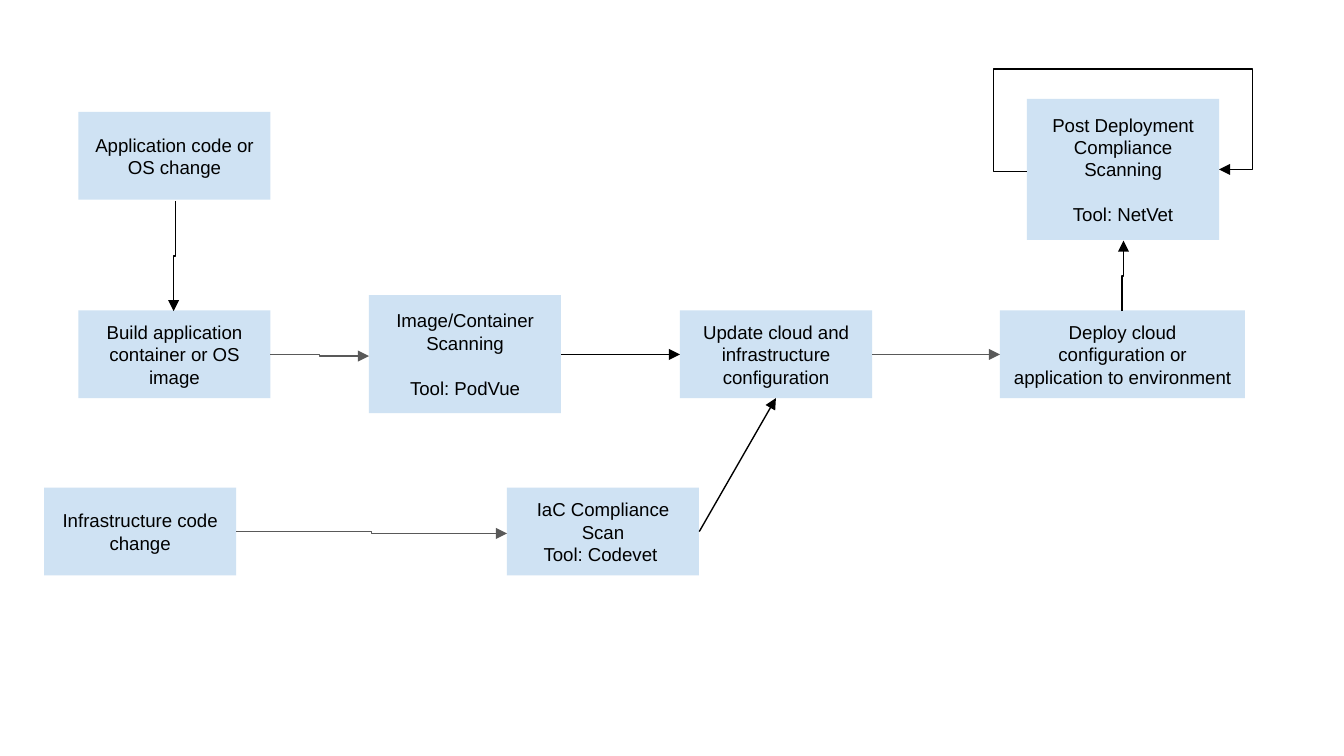
from lxml.etree import SubElement
from pptx import Presentation
from pptx.dml.color import RGBColor
from pptx.enum.shapes import MSO_CONNECTOR as Connector, MSO_SHAPE as Shape
from pptx.enum.text import MSO_ANCHOR as Anchor, PP_ALIGN as Align
from pptx.oxml.ns import qn
from pptx.util import Pt

PALE_BLUE = RGBColor(0xCF, 0xE2, 0xF3)
BLACK = RGBColor(0, 0, 0)
GRAY = RGBColor(0x59, 0x59, 0x59)

BOX_WIDTH, BOX_HEIGHT = 102.9, 47
TOOL_GAP = 12
ROW_Y = 189.9

deck = Presentation()
deck.slide_width, deck.slide_height = Pt(720), Pt(405)
page = deck.slides.add_slide(deck.slide_layouts[6])


def add_step(left, top, lines, width=BOX_WIDTH, height=BOX_HEIGHT, gap=0):
    """Add a process box; gap is the space above its second line."""
    box = page.shapes.add_shape(Shape.RECTANGLE, Pt(left), Pt(top), Pt(width), Pt(height))
    box.shadow.inherit = False
    box.fill.solid()
    box.fill.fore_color.rgb = PALE_BLUE
    box.line.fill.background()
    frame = box.text_frame
    frame.word_wrap = True
    frame.vertical_anchor = Anchor.MIDDLE
    frame.margin_left = frame.margin_right = Pt(7.2)
    frame.margin_top = frame.margin_bottom = Pt(7.2)
    for index, line in enumerate(lines):
        para = frame.add_paragraph() if index else frame.paragraphs[0]
        para.text = line
        para.alignment = Align.CENTER
        para.space_before = Pt(gap if index else 0)
        para.font.name, para.font.size = "Arial", Pt(10)
        para.font.color.rgb = BLACK


def add_arrow(kind, start, end, color=BLACK, turn=0):
    """Add an arrow; turn is the clockwise rotation of a vertical elbow."""
    (x1, y1), (x2, y2) = start, end
    if turn:
        middle_x, middle_y = (x1 + x2) / 2, (y1 + y2) / 2
        half_length, half_offset = abs(y2 - y1) / 2, abs(x2 - x1) / 2
        x1, x2 = middle_x - half_length, middle_x + half_length
        y1, y2 = middle_y - half_offset, middle_y + half_offset
    arrow = page.shapes.add_connector(kind, Pt(x1), Pt(y1), Pt(x2), Pt(y2))
    arrow.line.color.rgb = color
    arrow.line.width = Pt(0.75)
    properties = arrow._element.spPr
    if turn:
        properties.find(qn("a:xfrm")).set("rot", str(turn * 60000))
    SubElement(properties.find(qn("a:ln")), qn("a:tailEnd"), type="triangle")
    SubElement(properties, qn("a:effectLst"))
    return arrow


steps = [
    (42, 166.3, "Build application container or OS image"),
    (364.3, 166.3, "Update cloud and infrastructure configuration"),
    (42, 60, "Application code or OS change"),
    (23.6, 261.3, "Infrastructure code change"),
]
for left, top, text in steps:
    add_step(left, top, [text])
add_step(535.7, 166.3, ["Deploy cloud configuration or application to environment"], width=131.3)
add_step(197.7, 158.1, ["Image/Container Scanning", "Tool: PodVue"], height=63.3, gap=TOOL_GAP)
add_step(271.6, 261.3, ["IaC Compliance Scan", "Tool: Codevet "])
add_step(550.2, 53, ["Post Deployment Compliance Scanning", "Tool: NetVet"], height=75.5, gap=TOOL_GAP)

arrows = [
    (Connector.ELBOW, (126.5, 284.8), (271.6, 285.8), GRAY, 0),
    (Connector.ELBOW, (144.9, ROW_Y), (197.7, 190.8), GRAY, 0),
    (Connector.ELBOW, (467.2, ROW_Y), (535.7, ROW_Y), GRAY, 0),
    (Connector.STRAIGHT, (300.6, ROW_Y), (364.3, ROW_Y), BLACK, 0),
    (Connector.STRAIGHT, (374.6, 284.8), (415.7, 213.3), BLACK, 0),
    (Connector.ELBOW, (601, 166.7), (601.9, 128.9), BLACK, 270),
    (Connector.ELBOW, (93.9, 107.6), (93, 166.7), BLACK, 90),
]
for arrow_settings in arrows:
    add_arrow(*arrow_settings)

# The rescan loop leaves on the left, passes over the box and returns on the right.
loop = add_arrow(Connector.ELBOW, (550.2, 91.8), (653.1, 90.8))
geometry = loop._element.spPr.find(qn("a:prstGeom"))
geometry.set("prst", "bentConnector5")
guides = geometry.find(qn("a:avLst"))
if guides is None:
    guides = SubElement(geometry, qn("a:avLst"))
for number, share in enumerate((-0.175, 55.2, 1.175), start=1):
    SubElement(guides, qn("a:gd"), name=f"adj{number}", fmla=f"val {round(share * 100000)}")

deck.save("out.pptx")
